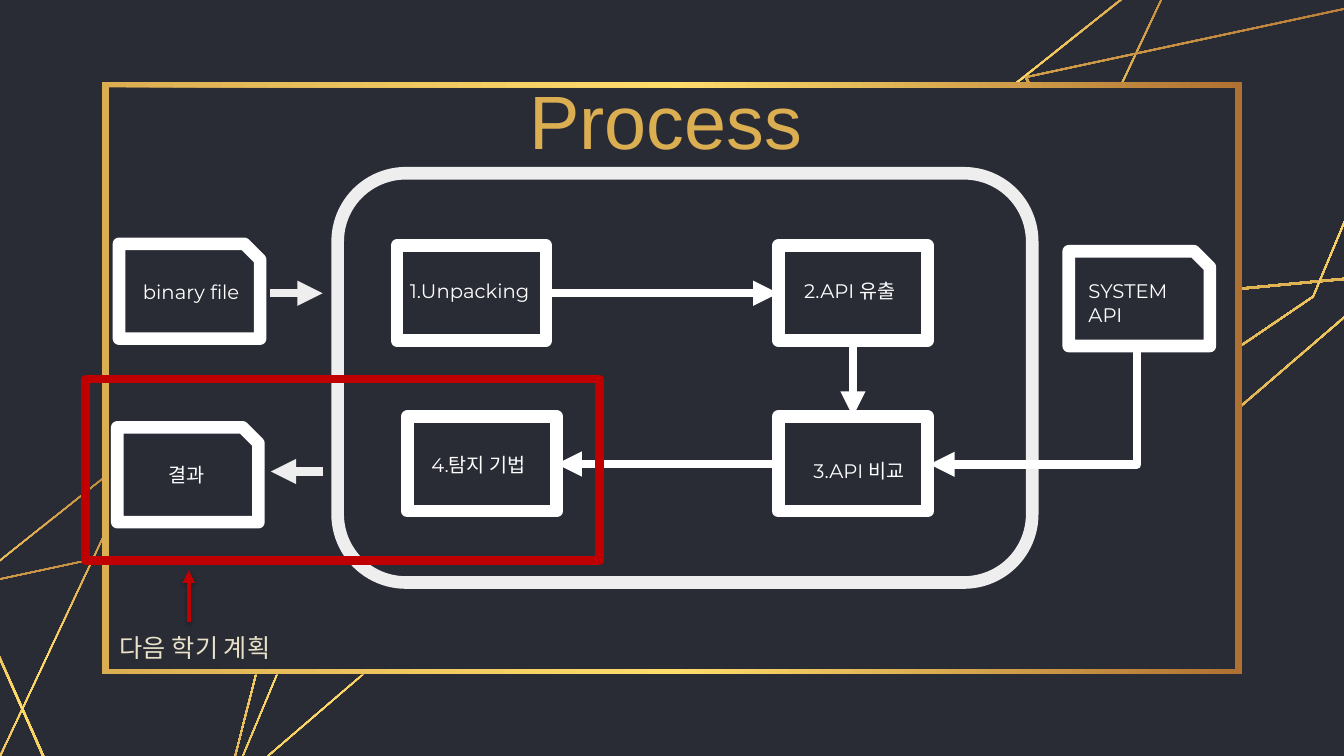
from lxml import etree
from pptx import Presentation
from pptx.dml.color import RGBColor
from pptx.enum.shapes import MSO_CONNECTOR, MSO_SHAPE
from pptx.enum.text import MSO_ANCHOR, PP_ALIGN
from pptx.oxml import parse_xml
from pptx.oxml.ns import qn
from pptx.util import Pt

RECT = MSO_SHAPE.RECTANGLE
ROUND = MSO_SHAPE.ROUNDED_RECTANGLE
SNIP = MSO_SHAPE.SNIP_1_RECTANGLE
LINE = MSO_CONNECTOR.STRAIGHT
ELBOW = MSO_CONNECTOR.ELBOW
CENTER = PP_ALIGN.CENTER
LEFT = PP_ALIGN.LEFT
MIDDLE = MSO_ANCHOR.MIDDLE
TOP = MSO_ANCHOR.TOP

NS = "http://schemas.openxmlformats.org/drawingml/2006/main"
DARK, WHITE, PALE, RED = "292C35", "FFFFFF", "EEEEEE", "C00000"
GOLD, CREAM = "DCAE52", "E9E2C9"
BRONZE, LEMON = "AF7132", "FFDD6B"

# Web polygons at the lower left, each with its shift to the upper right
WEBS = [
    ([(-50.4, 439.9), (97.9, 321.8), (196.6, 305.3), (213.1, 365),
      (167, 545.8), (-15.1, 563)], (769.7, -455.9)),
    ([(65.2, 617), (-10.1, 560.9), (103, 320.4), (261.4, 331.2),
      (172.1, 544.3)], (731.8, -440.9)),
    ([(74.9, 640.8), (-23.8, 418.3), (271.4, 355), (259.9, 481.7)],
     (760.4, -447.2)),
]
GROW = 1.2


def color(code):
    return RGBColor.from_string(code)


def fade(shape, codes, angle):
    """Fill a shape with three evenly spaced colours."""
    stops = "".join(
        f'<a:gs pos="{i * 50000}"><a:srgbClr val="{code}"/></a:gs>'
        for i, code in enumerate(codes))
    grad = parse_xml(f'<a:gradFill xmlns:a="{NS}"><a:gsLst>{stops}</a:gsLst>'
                     f'<a:lin ang="{angle * 60000}" scaled="0"/></a:gradFill>')
    shape._element.spPr.find(qn("a:custGeom")).addnext(grad)


def ring(slide, outer, inner, codes, angle):
    """Draw the band between two outlines."""
    path = None
    for pts in (outer, inner):
        pts = [(Pt(x), Pt(y)) for x, y in pts]
        if path is None:
            path = slide.shapes.build_freeform(*pts[0])
        else:
            path.move_to(*pts[0])
        path.add_line_segments(pts[1:], close=True)
    shape = path.convert_to_shape()
    shape.shadow.inherit = False
    shape.line.fill.background()
    fade(shape, codes, angle)


def web(slide, pts):
    mid_x = sum(x for x, y in pts) / len(pts)
    mid_y = sum(y for x, y in pts) / len(pts)
    inner = [(x + (mid_x - x) * 0.01, y + (mid_y - y) * 0.01) for x, y in pts]
    ring(slide, pts, inner, (BRONZE, LEMON, GOLD), 90)


def edges(left, top, right, bottom):
    return [(left, top), (right, top), (right, bottom), (left, bottom)]


def block(slide, kind, box, line=None, width=9, fill=None):
    shape = slide.shapes.add_shape(kind, *map(Pt, box))
    shape.shadow.inherit = False
    if fill:
        shape.fill.solid()
        shape.fill.fore_color.rgb = color(fill)
    else:
        shape.fill.background()
    if line:
        shape.line.color.rgb = color(line)
        shape.line.width = Pt(width)
    else:
        shape.line.fill.background()
    return shape


def label(slide, box, text, size=14, font="Montserrat", ink=WHITE,
          align=LEFT, anchor=TOP, pad=7.2):
    frame = slide.shapes.add_textbox(*map(Pt, box)).text_frame
    frame.word_wrap = True
    frame.vertical_anchor = anchor
    frame.margin_top = frame.margin_bottom = Pt(pad)
    frame.text = text
    for para in frame.paragraphs:
        para.alignment = align
        para.font.size = Pt(size)
        para.font.name = font
        para.font.color.rgb = color(ink)


def arrow(slide, start, end, ink=WHITE, width=6, kind=LINE):
    link = slide.shapes.add_connector(kind, *map(Pt, start + end))
    link.line.color.rgb = color(ink)
    link.line.width = Pt(width)
    props = link._element.spPr
    etree.SubElement(props.find(qn("a:ln")), qn("a:tailEnd"), type="triangle")
    etree.SubElement(props, qn("a:effectLst"))
    return link


def node(slide, kind, box, text, dx, dy):
    """Draw an outlined step with its text offset from the corner."""
    block(slide, kind, box, WHITE)
    left, top = box[:2]
    label(slide, (left + dx, top + dy, 425.5, 31.7), text)


def backdrop(slide):
    slide.background.fill.solid()
    slide.background.fill.fore_color.rgb = color(DARK)
    for pts, shift in WEBS:
        web(slide, pts)
    for pts, (dx, dy) in WEBS:
        web(slide, [(x * GROW + dx, y * GROW + dy) for x, y in pts])
    block(slide, RECT, (75.6, 60.5, 808.6, 421.2), fill=DARK)
    ring(slide, edges(72.9, 58.6, 887.4, 481.4),
         edges(77.8, 62.4, 882.2, 478), (GOLD, LEMON, BRONZE), 0)


def flow(slide):
    step, note = (106.6, 67.7), (100.8, 67.7)
    block(slide, ROUND, (241.2, 123.8, 496.1, 292.3), PALE)

    # Steps and files
    for kind, spot, size, text, dx, dy in [
        (SNIP, (85, 174.2), note, "binary file", 10, 18.7),
        (RECT, (283.5, 175.5), step, "1.Unpacking", 2.2, 16.7),
        (RECT, (556, 175.5), step, "2.API 유출", 11.3, 16.7),
        (RECT, (556, 297.5), step, "3.API 비교", 18, 23),
        (SNIP, (763.4, 179.5), note, "SYSTEM\nAPI", 7, 12.7),
        (RECT, (291, 297.5), step, "4.탐지 기법", 10, 18.5),
        (SNIP, (83.8, 305.3), note, "결과", 29.3, 18),
    ]:
        node(slide, kind, spot + size, text, dx, dy)

    # Arrows
    arrow(slide, (193, 209.5), (230.4, 209.5), PALE)
    arrow(slide, (390, 209.5), (556, 209.5))
    arrow(slide, (609.3, 243.2), (609.3, 297.5))
    arrow(slide, (556, 331.4), (397.6, 331.4))
    arrow(slide, (231, 336.8), (193.5, 336.8), PALE)
    bend = arrow(slide, (812.3, 244.1), (664, 331.7), kind=ELBOW)
    geom = bend._element.spPr.find(qn("a:prstGeom"))
    etree.SubElement(geom.find(qn("a:avLst")), qn("a:gd"),
                     name="adj1", fmla="val 0")


def plan(slide, box):
    left, top, width, height = box
    block(slide, RECT, box, RED, 6)
    base = top + height
    link = arrow(slide, (left + 73.6, base + 44), (left + 73.6, base + 7),
                 RED, 3)
    # Soft shadow under the arrow
    link._element.spPr.find(qn("a:effectLst")).append(parse_xml(
        f'<a:outerShdw xmlns:a="{NS}" blurRad="39370" dist="22860" '
        'dir="5400000" rotWithShape="0"><a:srgbClr val="000000">'
        '<a:alpha val="35000"/></a:srgbClr></a:outerShdw>'))
    label(slide, (left + 17.3, base + 47.5, 350, 28.8), "다음 학기 계획",
          18, "Arial", CREAM, pad=3.6)


def main():
    deck = Presentation()
    deck.slide_width, deck.slide_height = Pt(960), Pt(540)
    slide = deck.slides.add_slide(deck.slide_layouts[6])
    backdrop(slide)
    label(slide, (301, 54, 349.2, 62.6), "Process", 54, "Arial", GOLD,
          CENTER, MIDDLE)
    flow(slide)
    plan(slide, (61.2, 270.7, 367.2, 129.6))
    deck.save("out.pptx")


if __name__ == "__main__":
    main()
